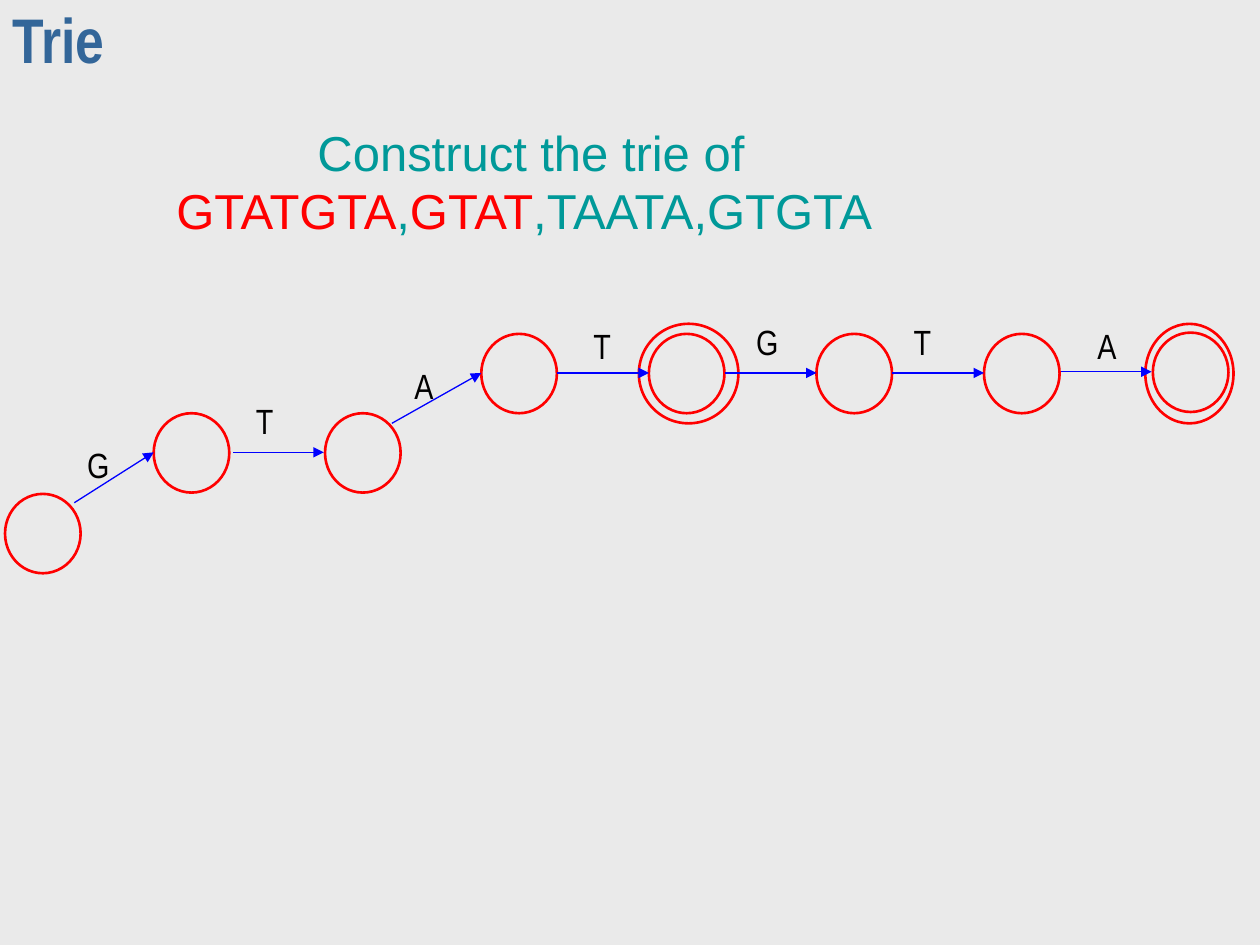
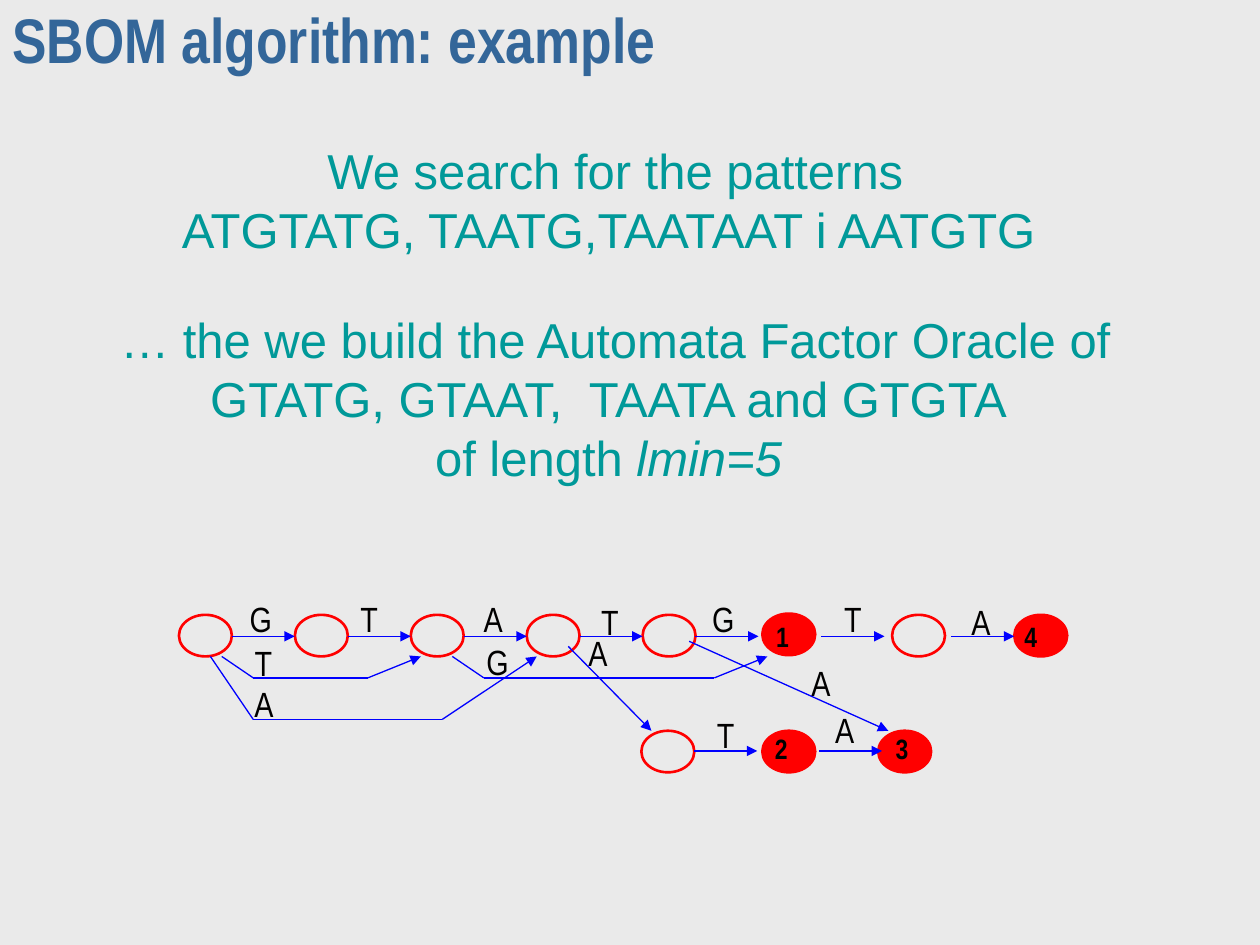
"""Build two slides on tries and factor oracles."""
from dataclasses import dataclass
from itertools import pairwise

from lxml.etree import SubElement
from pptx import Presentation
from pptx.dml.color import RGBColor
from pptx.enum.shapes import MSO_CONNECTOR, MSO_SHAPE
from pptx.enum.text import MSO_ANCHOR, MSO_AUTO_SIZE, PP_ALIGN
from pptx.oxml.ns import qn
from pptx.presentation import Presentation as Deck
from pptx.slide import Slide
from pptx.util import Inches, Pt

PAPER = RGBColor(0xEA, 0xEA, 0xEA)
NAVY = RGBColor(0x33, 0x66, 0x99)
TEAL = RGBColor(0x00, 0x99, 0x99)
RED = RGBColor(0xFF, 0x00, 0x00)
BLUE = RGBColor(0x00, 0x00, 0xFF)
BLACK = RGBColor(0x01, 0x00, 0x00)

TITLE = {"name": "Arial Narrow", "size": Pt(36), "bold": True}
BODY = {"name": "Arial", "size": Pt(28)}
LETTER = {"name": "Arial Narrow", "size": Pt(20)}
DIGIT = {"name": "Arial Narrow", "size": Pt(16), "bold": True}
WIDTHS = {"G": 0.38, "A": 0.35, "T": 0.34}


@dataclass
class Run:
    """A piece of text in one colour."""
    text: str
    color: RGBColor = TEAL
    italic: bool = False


@dataclass
class Node:
    """A state drawn as an ellipse."""
    left: float
    top: float
    wide: float
    high: float
    solid: bool = False


@dataclass
class Edge:
    """A line through points that ends in an arrowhead."""
    points: list[tuple[float, float]]


@dataclass
class Label:
    """A letter beside an edge or a digit on a state."""
    text: str
    left: float
    top: float


def style(font, look: dict, color: RGBColor) -> None:
    """Apply format values and a colour to a font."""
    for key, value in look.items():
        setattr(font, key, value)
    font.color.rgb = color


def add_slide(deck: Deck, text: str) -> Slide:
    """Add a slide with a formatted title."""
    slide = deck.slides.add_slide(deck.slide_layouts[5])
    title = slide.shapes.title
    box = {"left": 0, "top": 0, "width": Inches(10), "height": Inches(0.75)}
    for key, value in box.items():
        setattr(title, key, value)
    frame = title.text_frame
    frame.text = text
    frame.auto_size = MSO_AUTO_SIZE.NONE
    frame.vertical_anchor = MSO_ANCHOR.MIDDLE
    line = frame.paragraphs[0]
    line.alignment = PP_ALIGN.LEFT
    line.line_spacing = 0.7
    style(line.runs[0].font, TITLE, NAVY)
    return slide


def add_text(slide: Slide, box: tuple[float, ...], lines: list[list[Run]],
             look: dict, wrap: bool = True,
             anchor: MSO_ANCHOR = MSO_ANCHOR.TOP) -> None:
    """Add a centred text box."""
    frame = slide.shapes.add_textbox(*map(Inches, box)).text_frame
    frame.word_wrap = wrap
    frame.auto_size = MSO_AUTO_SIZE.SHAPE_TO_FIT_TEXT
    frame.vertical_anchor = anchor
    for i, runs in enumerate(lines):
        line = frame.add_paragraph() if i else frame.paragraphs[0]
        line.alignment = PP_ALIGN.CENTER
        for part in runs:
            run = line.add_run()
            run.text = part.text
            style(run.font, look, part.color)
            if part.italic:
                run.font.italic = True


def add_node(slide: Slide, node: Node) -> None:
    """Draw a state."""
    box = map(Inches, (node.left, node.top, node.wide, node.high))
    shape = slide.shapes.add_shape(MSO_SHAPE.OVAL, *box)
    shape.shadow.inherit = False
    if node.solid:
        shape.fill.solid()
        shape.fill.fore_color.rgb = RED
    else:
        shape.fill.background()
    shape.line.color.rgb = RED
    shape.line.width = Pt(1.5)


def add_edge(slide: Slide, edge: Edge) -> None:
    """Draw each leg of an edge, with the arrowhead on the last."""
    for start, end in pairwise(edge.points):
        leg = slide.shapes.add_connector(
            MSO_CONNECTOR.STRAIGHT, *map(Inches, start + end))
        leg.line.color.rgb = BLUE
        leg.line.width = Pt(0.75)
        props = leg.element.spPr
        if end == edge.points[-1]:
            SubElement(props.find(qn("a:ln")), qn("a:tailEnd"), type="triangle")
        SubElement(props, qn("a:effectLst"))


def add_label(slide: Slide, label: Label) -> None:
    """Write a letter or a digit."""
    digit = label.text.isdigit()
    size = (0.3, 0.37) if digit else (WIDTHS[label.text], 0.44)
    add_text(slide, (label.left, label.top, *size),
             [[Run(label.text, BLACK)]], DIGIT if digit else LETTER, False,
             MSO_ANCHOR.TOP if digit else MSO_ANCHOR.MIDDLE)


def add_graph(slide: Slide, nodes: list[Node], edges: list[Edge],
              labels: list[Label]) -> None:
    """Draw states, edges and labels."""
    for node in nodes:
        add_node(slide, node)
    for edge in edges:
        add_edge(slide, edge)
    for label in labels:
        add_label(slide, label)


def flat(left: float, right: float, y: float) -> Edge:
    """Return a level edge."""
    return Edge([(left, y), (right, y)])


def add_trie(deck: Deck) -> None:
    """Build the trie slide."""
    slide = add_slide(deck, "Trie")
    add_text(slide, (0.25, 0.92, 7.82, 1.04), [[
        Run(" Construct the trie of "), Run("GTATGTA", RED), Run(","),
        Run("GTAT", RED), Run(",TAATA,GTGTA")]], BODY)
    row = [3.82 + 1.33 * i for i in range(4)]
    spots = [(0.04, 3.92), (1.22, 3.28), (2.58, 3.28),
             *((x, 2.65) for x in row), (9.15, 2.64)]
    nodes = [Node(x, y, 0.6, 0.63) for x, y in spots]
    nodes += [Node(5.07, 2.57, 0.79, 0.79), Node(9.09, 2.57, 0.7, 0.79)]
    edges = [Edge([(0.59, 3.99), (1.22, 3.59)]), flat(1.85, 2.57, 3.59),
             Edge([(3.11, 3.36), (3.82, 2.96)]),
             *(flat(a + 0.6, b, 2.96) for a, b in pairwise(row)),
             flat(8.42, 9.14, 2.95)]
    labels = [Label("G", 0.59, 3.47), Label("T", 1.93, 3.12),
              Label("A", 3.19, 2.84), Label("T", 4.61, 2.52),
              Label("G", 5.9, 2.49), Label("T", 7.15, 2.49),
              Label("A", 8.61, 2.52)]
    add_graph(slide, nodes, edges, labels)


def add_oracle(deck: Deck) -> None:
    """Build the factor oracle slide."""
    slide = add_slide(deck, "SBOM algorithm: example")
    add_text(slide, (0.25, 2.41, 9.16, 1.5), [
        [Run(" … the we build the Automata Factor Oracle of "
             "GTATG, GTAAT,  TAATA and GTGTA")],
        [Run("of length "), Run("lmin=5", italic=True)]], BODY)
    add_text(slide, (0.25, 1.07, 9.16, 1.04), [
        [Run(" We search for the patterns")],
        [Run("ATGTATG, TAATG,TAATAAT i AATGTG")]], BODY)
    row = [1.42 + 0.92 * i for i in range(5)]
    open_ = [*((x, 4.88) for x in row), (7.08, 4.88), (5.09, 5.8)]
    final = [(6.05, 4.87), (8.05, 4.88), (6.05, 5.8), (6.97, 5.8)]
    nodes = [Node(x, y, 0.42, 0.33, spots is final)
             for spots in (open_, final) for x, y in spots]
    starts = [*(x + 0.42 for x in row), 6.52, 7.55]
    edges = [flat(x, x + 0.5, 5.05) for x in starts]
    edges += [flat(x, x + 0.5, 5.96) for x in (5.51, 6.5)]
    edges += [Edge([(1.76, 5.21), (2.01, 5.38), (2.92, 5.38), (3.34, 5.21)]),
              Edge([(1.67, 5.21), (2.01, 5.71), (3.51, 5.71), (4.26, 5.21)]),
              Edge([(3.59, 5.21), (3.84, 5.38), (5.67, 5.38), (6.09, 5.21)]),
              Edge([(4.51, 5.13), (5.17, 5.8)]),
              Edge([(5.47, 5.09), (7.05, 5.8)])]
    labels = [Label("G", 1.88, 4.69), Label("T", 2.76, 4.69),
              Label("A", 3.74, 4.69), Label("T", 4.67, 4.71),
              Label("G", 5.55, 4.69), Label("T", 6.6, 4.69),
              Label("A", 7.61, 4.71), Label("T", 1.92, 5.04),
              Label("A", 1.92, 5.36), Label("G", 3.76, 5.03),
              Label("A", 4.57, 4.96), Label("T", 5.59, 5.61),
              Label("A", 6.53, 5.57), Label("A", 6.34, 5.2),
              Label("1", 6.06, 4.87), Label("2", 6.05, 5.76),
              Label("3", 7.01, 5.76), Label("4", 8.03, 4.87)]
    add_graph(slide, nodes, edges, labels)


def main() -> None:
    """Create and save the deck."""
    deck = Presentation()
    deck.slide_width = Inches(10)
    deck.slide_height = Inches(7.5)
    fill = deck.slide_master.background.fill
    fill.solid()
    fill.fore_color.rgb = PAPER
    add_trie(deck)
    add_oracle(deck)
    deck.save("out.pptx")


if __name__ == "__main__":
    main()
